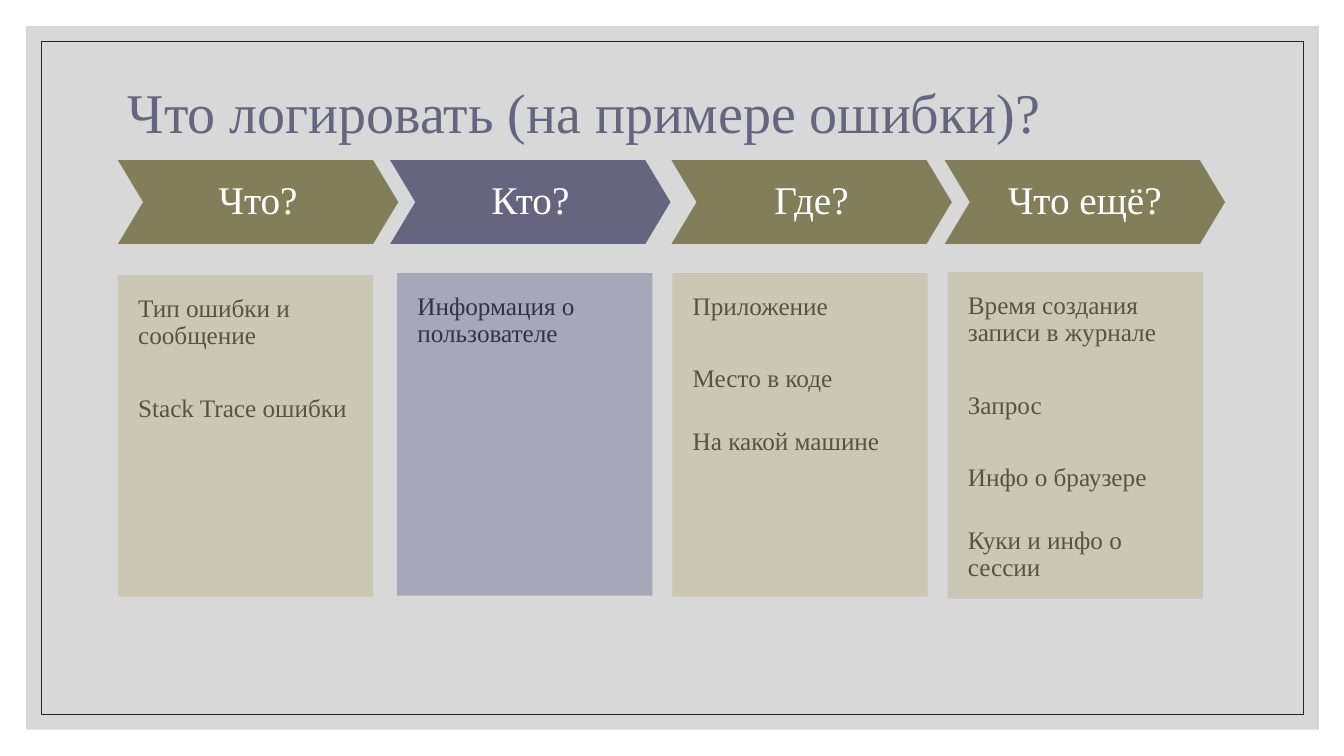
from dataclasses import dataclass

from lxml.etree import SubElement
from pptx import Presentation
from pptx.dml.color import RGBColor
from pptx.enum.shapes import MSO_SHAPE
from pptx.enum.text import MSO_ANCHOR, PP_ALIGN
from pptx.oxml.ns import qn
from pptx.util import Inches, Pt


@dataclass(frozen=True)
class Theme:
    font: str = "Times New Roman"
    title_size: int = 40
    heading_size: int = 28
    body_size: int = 18
    white: str = "FFFFFF"
    backdrop: str = "BFBFBF"
    frame: str = "262626"
    olive: str = "817E59"
    olive_pale: str = "C9C7B1"
    olive_dark: str = "56543B"
    violet: str = "656580"
    violet_pale: str = "A2A2B5"
    violet_dark: str = "333340"


THEME = Theme()
OLIVE = (THEME.olive, THEME.olive_pale, THEME.olive_dark)
VIOLET = (THEME.violet, THEME.violet_pale, THEME.violet_dark)

# Space before a panel item, in points
WIDE, NARROW = 32.5, 25.5

# Heading, colours, chevron left, panel box, items with the space before each
COLUMNS = [
    ("Что?", OLIVE, 1.17, (1.17, 2.73, 2.53, 3.19),
     [("Тип ошибки и сообщение", 0), ("Stack Trace ошибки", WIDE)]),
    ("Кто?", VIOLET, 3.87, (3.94, 2.71, 2.53, 3.2),
     [("Информация о пользователе", 0)]),
    ("Где?", OLIVE, 6.66, (6.67, 2.71, 2.53, 3.21),
     [("Приложение", 0), ("Место в коде", WIDE), ("На какой машине", NARROW)]),
    ("Что ещё?", OLIVE, 9.37, (9.4, 2.7, 2.53, 3.24),
     [("Время создания записи в журнале", 0), ("Запрос", WIDE),
      ("Инфо о браузере", WIDE), ("Куки и инфо о сессии", NARROW)]),
]


def add_box(slide, box, kind=MSO_SHAPE.RECTANGLE, fill=None, opacity=100, line=None):
    shape = slide.shapes.add_shape(kind, *map(Inches, box))
    shape.shadow.inherit = False
    if fill:
        shape.fill.solid()
        shape.fill.fore_color.rgb = RGBColor.from_string(fill)
        if opacity < 100:
            color = shape.fill._xPr.find(".//" + qn("a:srgbClr"))
            SubElement(color, qn("a:alpha"), val=str(opacity * 1000))
    else:
        shape.fill.background()
    if line:
        shape.line.color.rgb = RGBColor.from_string(line)
        shape.line.width = Pt(0.5)
    else:
        shape.line.fill.background()
    return shape


def write_text(shape, items, *, size, color, align=PP_ALIGN.LEFT,
               anchor=MSO_ANCHOR.MIDDLE, insets=(0.1, 0.05, 0.1, 0.05)):
    """Fill a shape with (text, space before) items."""
    frame = shape.text_frame
    frame.word_wrap = True
    frame.vertical_anchor = anchor
    (frame.margin_left, frame.margin_top,
     frame.margin_right, frame.margin_bottom) = map(Inches, insets)
    for index, (text, space_before) in enumerate(items):
        paragraph = frame.add_paragraph() if index else frame.paragraphs[0]
        paragraph.text = text
        paragraph.alignment = align
        paragraph.line_spacing = 0.9
        paragraph.space_before = Pt(space_before)
        paragraph.font.name = THEME.font
        paragraph.font.size = Pt(size)
        paragraph.font.color.rgb = RGBColor.from_string(color)


def add_backdrop(slide, box):
    left, top, width, height = box
    inset = 0.15
    add_box(slide, box, fill=THEME.backdrop, opacity=60)
    add_box(slide, (left + inset, top + inset, width - 2 * inset, height - 2 * inset),
            line=THEME.frame)


def add_title(slide, box, text):
    title = slide.shapes.add_textbox(*map(Inches, box))
    write_text(title, [(text, 0)], size=THEME.title_size, color=THEME.violet)


def add_chevron(slide, box, text, fill):
    chevron = add_box(slide, box, MSO_SHAPE.CHEVRON, fill)
    chevron.adjustments[0] = 0.3
    write_text(chevron, [(text, 0)], size=THEME.heading_size, color=THEME.white,
               align=PP_ALIGN.CENTER, insets=(0, 0, 0, 0))


def add_panel(slide, box, items, fill, color):
    panel = add_box(slide, box, fill=fill, opacity=90)
    write_text(panel, items, size=THEME.body_size, color=color,
               anchor=MSO_ANCHOR.TOP, insets=(0.2, 0.2, 0.2, 0.1))


def main():
    presentation = Presentation()
    presentation.slide_width = Inches(13.33)
    presentation.slide_height = Inches(7.5)
    slide = presentation.slides.add_slide(presentation.slide_layouts[6])

    # Backdrop and title
    add_backdrop(slide, (0.26, 0.26, 12.82, 6.98))
    add_title(slide, (1.17, 0.7, 11, 0.89), "Что логировать (на примере ошибки)?")

    # Columns: chevron heading above a panel
    for heading, (strong, pale, dark), left, panel_box, items in COLUMNS:
        add_chevron(slide, (left, 1.59, 2.78, 0.83), heading, strong)
        add_panel(slide, panel_box, items, pale, dark)

    presentation.save("out.pptx")


if __name__ == "__main__":
    main()
